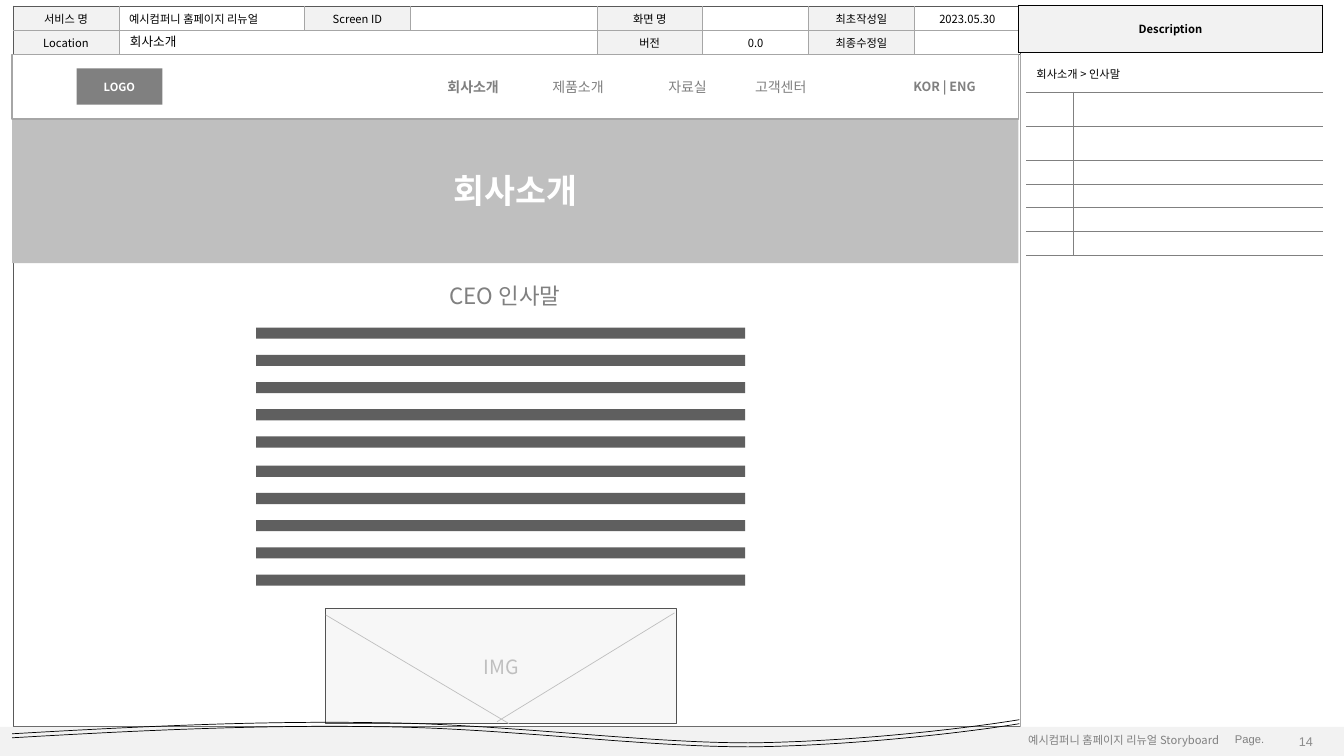
from lxml.etree import SubElement
from pptx import Presentation
from pptx.dml.color import RGBColor
from pptx.enum.shapes import MSO_CONNECTOR, MSO_SHAPE
from pptx.enum.text import MSO_ANCHOR, MSO_AUTO_SIZE, PP_ALIGN
from pptx.oxml.ns import qn
from pptx.util import Inches, Pt

BLACK, WHITE, PALE = "000000", "FFFFFF", "F2F2F2"
SILVER, RULE, GRAY, DARK = "BFBFBF", "A6A6A6", "808080", "595959"
KOREAN, LATIN = "Noto Sans CJK KR", "Arial"
LEFT, CENTER, RIGHT = PP_ALIGN.LEFT, PP_ALIGN.CENTER, PP_ALIGN.RIGHT
SERVICE = "예시컴퍼니 홈페이지 리뉴얼"


def rgb(value):
    return RGBColor.from_string(value)


def inches(*values):
    return [Inches(v) for v in values]


def bezier(p0, p1, p2, p3, steps=24):
    for i in range(1, steps + 1):
        t = i / steps
        u = 1 - t
        yield tuple(u**3 * a + 3 * u * u * t * b + 3 * u * t * t * c + t**3 * d
                    for a, b, c, d in zip(p0, p1, p2, p3))


class Storyboard:
    def __init__(self, slide):
        self.slide = slide
        self.shapes = slide.shapes

    def set_text(self, tf, text, size, color, bold=False, align=LEFT, font=KOREAN):
        p = tf.paragraphs[0]
        p.text = text
        p.alignment = align
        p.font.size, p.font.bold, p.font.name = Pt(size), bold, font
        p.font.color.rgb = rgb(color)
        SubElement(p._p.pPr.find(qn("a:defRPr")), qn("a:ea"), typeface=font)
        if not text:
            SubElement(p._p, qn("a:endParaRPr"), sz=str(size * 100))

    def paint(self, sp, fill=None, line=None, width=0.5):
        if fill:
            sp.fill.solid()
            sp.fill.fore_color.rgb = rgb(fill)
        else:
            sp.fill.background()
        if line:
            sp.line.color.rgb = rgb(line)
            sp.line.width = Pt(width)
        else:
            sp.line.fill.background()

    def box(self, at, fill, line=None, width=0.5, text="", size=8, color=WHITE, bold=False):
        sp = self.shapes.add_shape(MSO_SHAPE.RECTANGLE, *inches(*at))
        sp.shadow.inherit = False
        self.paint(sp, fill, line, width)
        if text:
            sp.text_frame.vertical_anchor = MSO_ANCHOR.MIDDLE
            self.set_text(sp.text_frame, text, size, color, bold, CENTER)
        return sp

    def title(self, at, text, fill):
        sp = self.shapes.title
        sp.left, sp.top, sp.width, sp.height = inches(*at)
        self.paint(sp, fill)
        tf = sp.text_frame
        tf.auto_size = MSO_AUTO_SIZE.NONE
        tf.vertical_anchor = MSO_ANCHOR.MIDDLE
        self.set_text(tf, text, 24, WHITE, True, CENTER)
        sp.element.getparent().append(sp.element)

    def label(self, at, text, size=8, color=GRAY, wrap=False, anchor=MSO_ANCHOR.TOP, **style):
        tf = self.shapes.add_textbox(*inches(*at)).text_frame
        tf.word_wrap = wrap
        tf.vertical_anchor = anchor
        self.set_text(tf, text, size, color, **style)

    def line(self, start, end, color):
        sp = self.shapes.add_connector(MSO_CONNECTOR.STRAIGHT, *inches(*start, *end))
        sp.line.color.rgb = rgb(color)
        sp.line.width = Pt(0.5)
        SubElement(sp.element.spPr, qn("a:effectLst"))

    def outline(self, contours, closed, **style):
        builder = None
        for contour in contours:
            points = [inches(*point) for point in contour]
            if builder is None:
                builder = self.shapes.build_freeform(*points[0], scale=1.0)
            else:
                builder.move_to(*points[0])
            builder.add_line_segments(points[1:], close=closed)
        sp = builder.convert_to_shape()
        sp.shadow.inherit = False
        self.paint(sp, **style)

    def table(self, left, top, cols, rows):
        frame = self.shapes.add_table(len(rows), len(cols),
                                      *inches(left, top, sum(cols), sum(rows)))
        table = frame.table
        table.first_row = table.horz_banding = False
        for column, width in zip(table.columns, cols):
            column.width = Inches(width)
        for row, height in zip(table.rows, rows):
            row.height = Inches(height)
        return table

    def cell(self, cell, text="", fill=WHITE, align=CENTER, bold=False, width=0.5, **edges):
        cell.vertical_anchor = MSO_ANCHOR.MIDDLE
        cell.margin_top = cell.margin_bottom = Inches(0.02)
        tc_pr = cell._tc.get_or_add_tcPr()
        for side in "LRTB":
            color = edges.get(side)
            ln = SubElement(tc_pr, qn("a:ln" + side), w=str(Pt(width)))
            if color:
                SubElement(SubElement(ln, qn("a:solidFill")), qn("a:srgbClr"), val=color)
            else:
                SubElement(ln, qn("a:noFill"))
        cell.fill.solid()
        cell.fill.fore_color.rgb = rgb(fill)
        self.set_text(cell.text_frame, text, 8, BLACK, bold, align)


def draw_header(board):
    header = [
        ["서비스 명", SERVICE, "Screen ID", "", "화면 명", "", "최초작성일", "2023.05.30"],
        ["Location", "", "", "", "버전", "0.0", "최종수정일", ""],
        [""] * 8,
    ]
    cols = [1.05, 1.84, 1.05, 1.85, 1.05, 1.05, 1.05, 1.05]
    table = board.table(0.13, 0.06, cols, [0.24, 0.24, 6.67])
    for r, row in enumerate(header):
        for c, text in enumerate(row):
            named = r < 2 and c % 2 == 0 and (r, c) != (1, 2)
            board.cell(table.cell(r, c), text, PALE if named else WHITE,
                       LEFT if text == SERVICE else CENTER,
                       L=RULE if c else DARK, R=RULE if c < 7 else DARK,
                       T=RULE if r == 1 else DARK, B=DARK if r else RULE)
    table.cell(1, 1).merge(table.cell(1, 3))
    table.cell(2, 0).merge(table.cell(2, 7))


def draw_description(board):
    heading = board.table(10.1, 0.05, [3.02], [0.47])
    board.cell(heading.cell(0, 0), "Description", PALE, bold=True,
               L=BLACK, R=BLACK, T=BLACK, B=BLACK)
    rows = [0.36, 0.34, 0.34] + [0.235] * 4
    notes = board.table(10.18, 0.55, [0.46, 2.48], rows)
    for r in range(len(rows)):
        for c in range(2):
            inner = GRAY if r else None
            board.cell(notes.cell(r, c), "" if r or c else "회사소개 > 인사말", align=LEFT,
                       width=0.25, T=inner, B=GRAY,
                       L=inner if c else None, R=None if c else inner)
    notes.cell(0, 0).merge(notes.cell(0, 1))


def draw_greeting(board):
    board.label((4.36, 2.75, 1.39, 0.37), "CEO 인사말", 16)
    left, right = 2.54, 7.39
    for top in (3.25, 4.62):
        bars = [top + 0.27 * i for i in range(5)]
        board.outline([[(left, y), (left, y + 0.11), (right, y + 0.11), (right, y)]
                       for y in bars], True, fill="5F5F5F")
    image = board.box((3.23, 6.04, 3.48, 1.14), PALE, "535353", 0.75, "IMG", 14, SILVER)
    color = image.element.spPr.find(qn("a:solidFill")).find(qn("a:srgbClr"))
    SubElement(color, qn("a:alpha"), val="60000")
    board.line((6.69, 6.08), (4.93, 7.16), SILVER)
    board.line((5.05, 7.18), (3.23, 6.1), SILVER)


def draw_break(board):
    knots = [(0.12, 7.28), (1.33, 7.21), (2.53, 7.15), (3.75, 7.17), (4.97, 7.18),
             (6.36, 7.37), (7.42, 7.37), (8.48, 7.36), (9.63, 7.22), (10.11, 7.14)]
    for drop in (0, 0.04):
        curve = [(x, y + drop) for x, y in knots]
        points = curve[:1]
        for i in range(0, 9, 3):
            points += bezier(*curve[i:i + 4])
        board.outline([points], False, line=BLACK)


def draw_menu(board):
    board.box((0.12, 0.54, 9.98, 0.64), WHITE, RULE, 1)
    board.box((0.76, 0.68, 0.85, 0.36), GRAY, text="LOGO", bold=True)
    menu = [(4.34, 0.76, "회사소개"), (5.38, 0.76, "제품소개"),
            (6.53, 0.62, "자료실"), (7.39, 0.76, "고객센터")]
    for left, width, text in menu:
        board.label((left, 0.73, width, 0.27), text, 10, bold=text == "회사소개")
    board.label((8.96, 0.73, 0.85, 0.25), "KOR | ENG", 9, bold=True)


def main():
    prs = Presentation()
    prs.slide_width, prs.slide_height = inches(13.33, 7.5)
    board = Storyboard(prs.slides.add_slide(prs.slide_layouts[5]))
    draw_header(board)
    board.box((0, 7.21, 13.33, 0.29), PALE)
    board.label((12.15, 7.22, 0.59, 0.24), "Page.", wrap=True, font=LATIN)
    board.label((10.1, 7.23, 2.27, 0.24), SERVICE + " Storyboard")
    board.label((12.53, 7.22, 0.59, 0.27), "14", 9, "8C8C8C", True,
                MSO_ANCHOR.MIDDLE, align=RIGHT, font=LATIN)
    board.label((1.19, 0.29, 0.71, 0.25), "회사소개", 9, BLACK)
    draw_description(board)
    draw_greeting(board)
    draw_break(board)
    board.title((0.12, 1.17, 9.98, 1.44), "회사소개", SILVER)
    draw_menu(board)
    prs.save("out.pptx")


if __name__ == "__main__":
    main()
